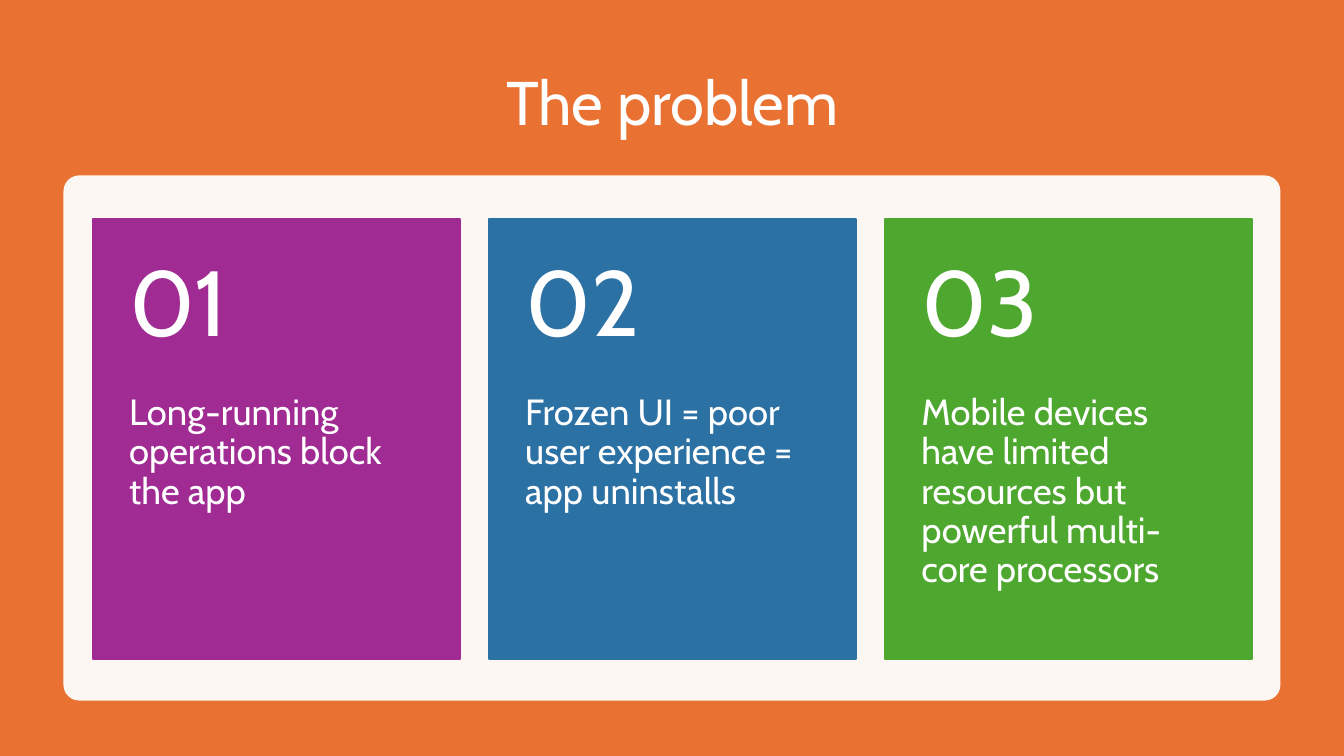
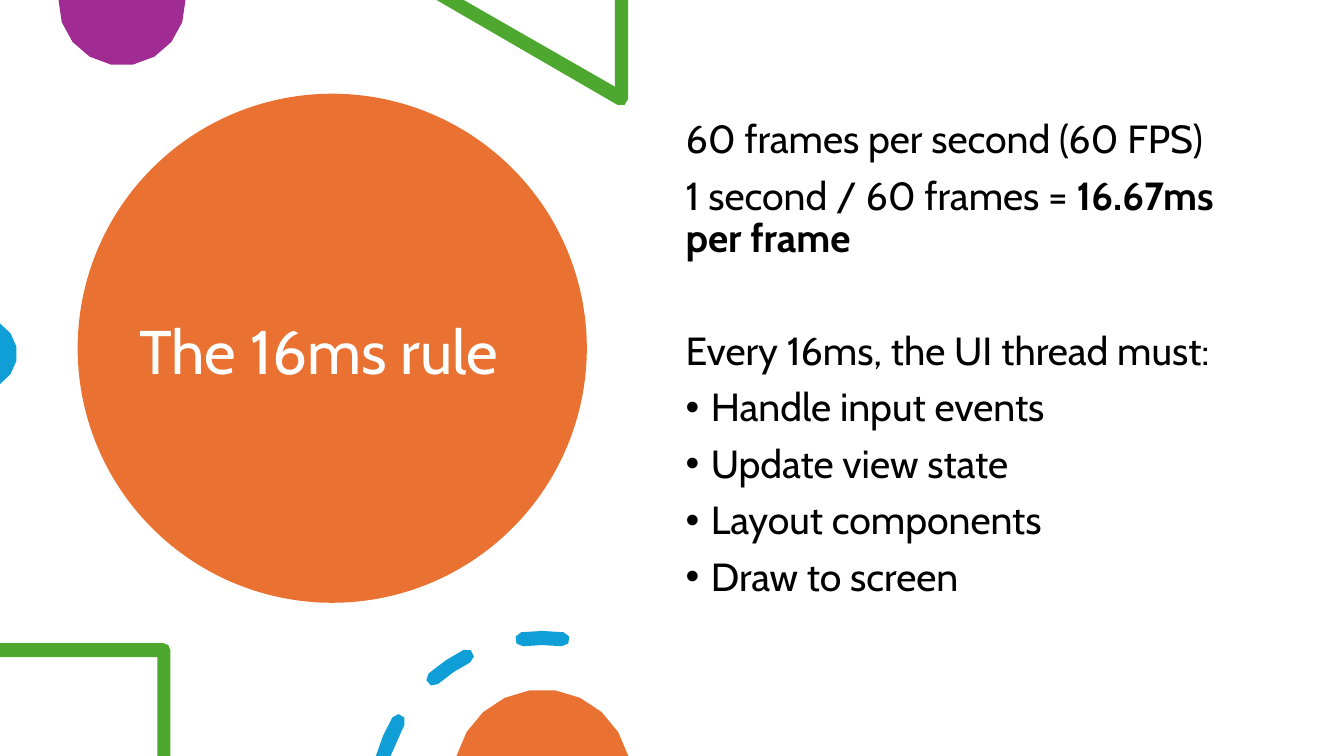
import math

import lxml.etree
import pptx
import pptx.dml.color
import pptx.enum.shapes
import pptx.enum.text
import pptx.oxml.ns
import pptx.util

Inches = pptx.util.Inches
Pt = pptx.util.Pt
Shape = pptx.enum.shapes.MSO_SHAPE
Align = pptx.enum.text.PP_ALIGN
Anchor = pptx.enum.text.MSO_ANCHOR
qn = pptx.oxml.ns.qn

SLIDE_WIDTH, SLIDE_HEIGHT = 13.33, 7.5
FONT = "Cabin"
WHITE, BLACK = "FFFFFF", "000000"
ORANGE, PURPLE, BLUE, GREEN, SKY = "E97132", "A02B93", "2C71A4", "4EA72E", "0F9ED5"

TITLE_LAYOUT, BODY_LAYOUT = 5, 1
TITLE_SIZE, BODY_SIZE, NUMBER_SIZE, CARD_SIZE = 44, 28, 66, 26
LINE_SPACING = 0.9

CARD_LEFT, CARD_TOP, CARD_WIDTH, CARD_HEIGHT = 0.92, 2.17, 3.64, 4.37
CARD_PITCH, NUMBER_HEIGHT = 3.93, 1.74
CARDS = [
    (PURPLE, "Long-running operations block the app"),
    (BLUE, "Frozen UI = poor user experience = app uninstalls"),
    (GREEN, "Mobile devices have limited resources but powerful multi-core processors"),
]

# Each paragraph: spans as (text, bold), bulleted, space before in points
RULE_TEXT = [
    ([("60 frames per second (60 FPS)", False)], False, 0),
    ([("1 second / 60 frames = ", False), ("16.67ms per frame", True)], False, 10),
    ([("Every 16ms, the UI thread must:", False)], False, 50.5),
    ([("Handle input events", False)], True, 10),
    ([("Update view state", False)], True, 10),
    ([("Layout components", False)], True, 10),
    ([("Draw to screen", False)], True, 10),
]

RING_X, RING_Y, RING_RADIUS, DASH_RADIUS = 5.38, 7.98, 1.65, 0.07
ARC_TOLERANCE = 0.01


def set_values(target, values):
    for name, value in values.items():
        setattr(target, name, value)


def rgb(value):
    return pptx.dml.color.RGBColor.from_string(value)


def paint(shape, color, line=None, opacity=None):
    shape.shadow.inherit = False
    shape.fill.solid()
    shape.fill.fore_color.rgb = rgb(color)
    if opacity is not None:
        tint = shape._element.spPr.find(".//" + qn("a:srgbClr"))
        lxml.etree.SubElement(tint, qn("a:alpha"), val=str(opacity * 1000))
    if line is None:
        shape.line.fill.background()
    else:
        shape.line.color.rgb = rgb(color)
        shape.line.width = Pt(line)


def add_block(shapes, kind, at, color, **style):
    shape = shapes.add_shape(kind, *map(Inches, at))
    paint(shape, color, **style)
    return shape


def send_to_back(page, shape):
    page.shapes._spTree.insert(2, shape._element)


def add_span(para, text, size, color, bold=False):
    span = para.add_run()
    span.text = text
    set_values(span.font, {"name": FONT, "size": Pt(size), "bold": bold})
    span.font.color.rgb = rgb(color)


def set_frame(frame, anchor, insets=(0.1, 0.05, 0.1, 0.05)):
    left, top, right, bottom = map(Inches, insets)
    set_values(frame, {
        "word_wrap": True,
        "auto_size": pptx.enum.text.MSO_AUTO_SIZE.NONE,
        "vertical_anchor": anchor,
        "margin_left": left, "margin_top": top,
        "margin_right": right, "margin_bottom": bottom,
    })


def place(shape, at):
    set_values(shape, dict(zip(("left", "top", "width", "height"), map(Inches, at))))


def write_line(frame, text, size, align=Align.LEFT):
    para = frame.paragraphs[0]
    set_values(para, {"alignment": align, "line_spacing": LINE_SPACING})
    add_span(para, text, size, WHITE)


def set_title(page, text, at, align):
    title = page.shapes.title
    place(title, at)
    set_frame(title.text_frame, Anchor.MIDDLE)
    write_line(title.text_frame, text, TITLE_SIZE, align)


def add_text(shapes, text, at, size, anchor, insets):
    box = shapes.add_textbox(*map(Inches, at))
    set_frame(box.text_frame, anchor, insets)
    write_line(box.text_frame, text, size)


def set_bullet(para, bulleted):
    properties = para._p.get_or_add_pPr()
    indent = Inches(0.25) if bulleted else 0
    properties.set("marL", str(indent))
    properties.set("indent", str(-indent))
    if bulleted:
        lxml.etree.SubElement(properties, qn("a:buFont"), typeface="Arial")
        lxml.etree.SubElement(properties, qn("a:buChar"), char="•")
    else:
        lxml.etree.SubElement(properties, qn("a:buNone"))


def fill_body(body, paragraphs):
    frame = body.text_frame
    set_frame(frame, Anchor.TOP)
    for index, (spans, bulleted, before) in enumerate(paragraphs):
        para = frame.add_paragraph() if index else frame.paragraphs[0]
        set_bullet(para, bulleted)
        set_values(para, {"line_spacing": LINE_SPACING, "space_before": Pt(before)})
        for text, bold in spans:
            add_span(para, text, BODY_SIZE, BLACK, bold)


def point_on_circle(x, y, radius, angle):
    turn = math.radians(angle)
    return x + radius * math.cos(turn), y + radius * math.sin(turn)


def arc(x, y, radius, start, end):
    """Points on a circle; angles in degrees, clockwise from the right."""
    largest_step = 2 * math.degrees(math.acos(1 - ARC_TOLERANCE / radius))
    steps = math.ceil(abs(end - start) / largest_step)
    return [point_on_circle(x, y, radius, start + (end - start) * i / steps)
            for i in range(steps + 1)]


def ring_dash(start, end=None):
    """Round-ended dash on the ring; without an end it stops at the slide's bottom."""
    def bottom_angle(radius):
        return math.degrees(math.asin((RING_Y - SLIDE_HEIGHT) / radius)) - 180

    def cap(angle, turn):
        center = point_on_circle(RING_X, RING_Y, RING_RADIUS, angle)
        return arc(*center, DASH_RADIUS, angle + turn, angle + turn - 180)[1:-1]

    outer, inner = RING_RADIUS + DASH_RADIUS, RING_RADIUS - DASH_RADIUS
    outer_end, inner_end = (bottom_angle(r) if end is None else end for r in (outer, inner))
    far_cap = [] if end is None else cap(end, 0)
    return (arc(RING_X, RING_Y, outer, start, outer_end) + far_cap
            + arc(RING_X, RING_Y, inner, inner_end, start) + cap(start, 180))


def add_outline(page, color, *contours):
    builder = None
    for contour in contours:
        first, *others = [(Inches(x), Inches(y)) for x, y in contour]
        if builder is None:
            builder = page.shapes.build_freeform(*first)
        else:
            builder.move_to(*first)
        builder.add_line_segments(others, close=True)
    paint(builder.convert_to_shape(), color)


def add_card(page, index, color, text):
    left = CARD_LEFT + index * CARD_PITCH
    shapes = page.shapes.add_group_shape().shapes
    add_block(shapes, Shape.RECTANGLE, (left, CARD_TOP, CARD_WIDTH, CARD_HEIGHT), color, line=1.5)
    add_text(shapes, text,
             (left, CARD_TOP + NUMBER_HEIGHT, CARD_WIDTH, CARD_HEIGHT - NUMBER_HEIGHT),
             CARD_SIZE, Anchor.TOP, (0.36, 0, 0.36, 0.36))
    add_text(shapes, f"{index + 1:02}", (left, CARD_TOP, CARD_WIDTH, NUMBER_HEIGHT),
             NUMBER_SIZE, Anchor.MIDDLE, (0.36, 0.18, 0.36, 0.18))


def build_problem(deck):
    page = deck.slides.add_slide(deck.slide_layouts[TITLE_LAYOUT])
    backdrop = add_block(page.shapes, Shape.RECTANGLE, (0, 0, SLIDE_WIDTH, SLIDE_HEIGHT), ORANGE)
    send_to_back(page, backdrop)
    set_title(page, "The problem", (0.92, 0.5, 11.5, 1.1), Align.CENTER)
    panel = add_block(page.shapes, Shape.ROUNDED_RECTANGLE, (0.63, 1.74, 12.07, 5.21),
                      WHITE, opacity=95)
    panel.adjustments[0] = 0.03
    for index, (color, text) in enumerate(CARDS):
        add_card(page, index, color, text)


def add_decorations(page):
    add_outline(page, PURPLE, arc(1.21, 0.02, 0.63, -1.8, 181.8))
    add_outline(page, GREEN, [(6.23, 0), (6.1, 0), (6.1, 0.86), (4.6, 0), (4.33, 0)]
                + arc(6.16, 0.98, 0.07, 120, 0))
    add_outline(page, SKY, arc(-0.18, 3.51, 0.35, -59, 59))
    add_outline(page, GREEN, [(0, 6.38)] + arc(1.62, 6.45, 0.07, -90, 0)
                + [(1.69, 7.5), (1.56, 7.5), (1.56, 6.52), (0, 6.52)])
    add_outline(page, SKY, ring_dash(-150), ring_dash(-117, -131), ring_dash(-83, -97))
    add_outline(page, ORANGE, arc(5.38, 7.72, 0.88, -165.5, -14.5))


def build_rule(deck):
    page = deck.slides.add_slide(deck.slide_layouts[BODY_LAYOUT])
    send_to_back(page, add_block(page.shapes, Shape.OVAL, (0.77, 0.93, 5.05, 5.05), ORANGE))
    set_title(page, "The 16ms rule", (1.28, 1.29, 4.14, 4.45), Align.LEFT)
    body = page.placeholders[1]
    place(body, (6.7, 1.14, 5.75, 5.35))
    fill_body(body, RULE_TEXT)
    add_decorations(page)


def main():
    deck = pptx.Presentation()
    set_values(deck, {"slide_width": Inches(SLIDE_WIDTH), "slide_height": Inches(SLIDE_HEIGHT)})
    build_problem(deck)
    build_rule(deck)
    deck.save("out.pptx")


if __name__ == "__main__":
    main()
